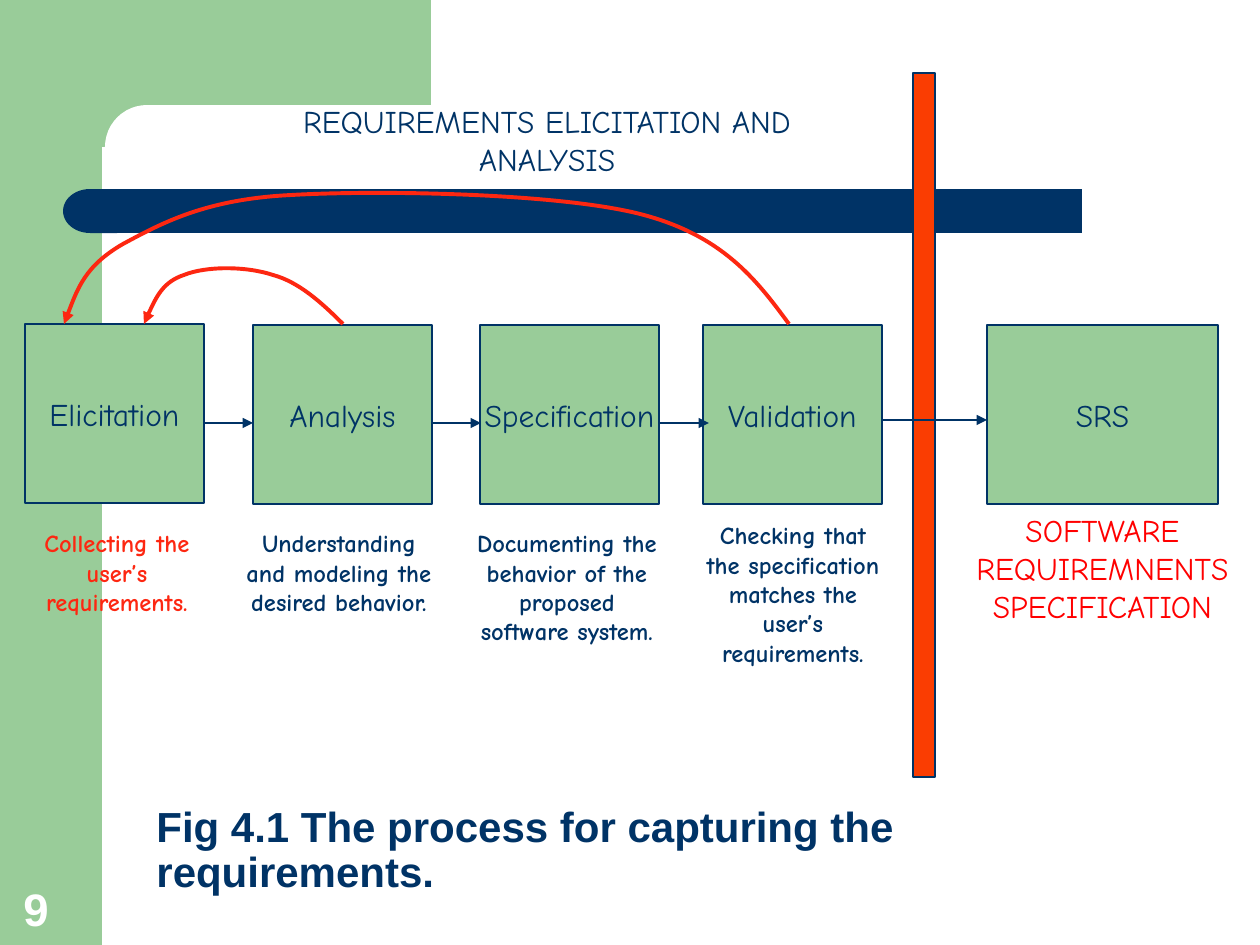
import pptx
import pptx.util
import pptx.dml.color
import pptx.enum.shapes
import pptx.enum.text
import pptx.oxml.ns
from lxml import etree

PX = 914400 / 126
COLORS = {
    "green": "99CC99",
    "navy": "003366",
    "white": "FFFFFF",
    "orange": "FA3D02",
    "scarlet": "FD2711",
    "red": "FF0000",
}
SHAPE = pptx.enum.shapes.MSO_SHAPE
ALIGN = pptx.enum.text.PP_ALIGN
ANCHOR = pptx.enum.text.MSO_ANCHOR
qn = pptx.oxml.ns.qn


def px(n):
    return pptx.util.Emu(round(n * PX))


def rgb(name):
    return pptx.dml.color.RGBColor.from_string(COLORS[name])


def add_text(tf, text, size=18, font="Comic Neue", color="navy", bold=False,
             align=ALIGN.CENTER, anchor=ANCHOR.TOP, wrap=True, spacing=None):
    tf.word_wrap = wrap
    tf.vertical_anchor = anchor
    p = tf.paragraphs[0]
    p.alignment = align
    if spacing:
        p.line_spacing = spacing
    r = p.add_run()
    r.text = text
    r.font.size = pptx.util.Pt(size)
    r.font.name = font
    r.font.bold = bold
    r.font.color.rgb = rgb(color)


def add_label(s, box, text, **fmt):
    sp = s.shapes.add_textbox(*map(px, box))
    add_text(sp.text_frame, text, **fmt)


def add_block(s, kind, box, fill, line=None):
    sp = s.shapes.add_shape(kind, *map(px, box))
    sp.shadow.inherit = False
    sp.fill.solid()
    sp.fill.fore_color.rgb = rgb(fill)
    if line:
        sp.line.color.rgb = rgb(line)
        sp.line.width = pptx.util.Pt(1)
    else:
        sp.line.fill.background()
    return sp


def style_arrow(sp, color, width):
    sp.line.color.rgb = rgb(color)
    sp.line.width = pptx.util.Pt(width)
    etree.SubElement(sp.line._get_or_add_ln(), qn("a:tailEnd"), type="triangle")


def add_arrow(s, x1, x2, y):
    kind = pptx.enum.shapes.MSO_CONNECTOR.STRAIGHT
    sp = s.shapes.add_connector(kind, px(x1), px(y), px(x2), px(y))
    style_arrow(sp, "navy", 1)
    etree.SubElement(sp._element.spPr, qn("a:effectLst"))


def add_feedback(s, x, y, points):
    pts = [(px(x + dx), px(y + dy)) for dx, dy in points]
    fb = s.shapes.build_freeform(*pts[0], scale=1.0)
    fb.add_line_segments(pts[1:], close=False)
    sp = fb.convert_to_shape()
    sp.shadow.inherit = False
    sp.fill.background()
    style_arrow(sp, "scarlet", 2.25)
    outline = sp._element.xpath(".//a:path")[0]
    outline.set("fill", "none")
    segments = outline.findall(qn("a:lnTo"))
    for i in range(0, len(segments), 3):
        curve = etree.SubElement(outline, qn("a:cubicBezTo"))
        for seg in segments[i:i + 3]:
            curve.append(seg[0])
            outline.remove(seg)


def add_frame(s, w, h):
    add_block(s, SHAPE.RECTANGLE, (0, 0, 102, h), "green")
    add_block(s, SHAPE.RECTANGLE, (92, 0, 339, 147), "green")
    panel = add_block(s, SHAPE.ROUNDED_RECTANGLE, (105, 105, 703, 84), "white")
    panel.adjustments[0] = 0.5
    add_block(s, SHAPE.RECTANGLE, (116, 189, 966, 44), "navy")
    cap = add_block(s, SHAPE.FLOWCHART_DELAY, (63, 189, 54, 44), "navy")
    cap.rotation = 180
    add_label(s, (11, h - 71, 81, 68), "9", size=26, font="Arial", color="white",
              bold=True, align=ALIGN.LEFT, anchor=ANCHOR.BOTTOM)
    add_label(s, (144, h - 126, w - 210, 84),
              "Fig 4.1 The process for capturing the requirements.",
              size=24, font="Arial", bold=True, align=ALIGN.LEFT,
              anchor=ANCHOR.BOTTOM, spacing=0.9)


def add_stage(s, x, y, w, h, name, note, dx, dy, note_w, note_h, **fmt):
    sp = add_block(s, SHAPE.RECTANGLE, (x, y, w, h), "green", "navy")
    add_text(sp.text_frame, name, anchor=ANCHOR.MIDDLE, wrap=False)
    add_label(s, (x + dx, y + h + dy, note_w, note_h), note, **fmt)


def add_process(s, y):
    side = 179
    small = {"size": 14, "bold": True}
    add_block(s, SHAPE.RECTANGLE, (913, y - 252, 22, 704), "orange", "navy")
    add_label(s, (253, y - 229, 588, 88), "REQUIREMENTS ELICITATION AND ANALYSIS")
    add_stage(s, 25, y - 1, side, side, "Elicitation",
              "Collecting the user’s requirements.", 0, 19, 184, 101,
              color="scarlet", **small)
    add_stage(s, 253, y, side, side, "Analysis",
              "Understanding and modeling the desired behavior.",
              -20, 18, 212, 101, **small)
    add_stage(s, 480, y, side, side, "Specification",
              "Documenting the behavior of the proposed software system.",
              -19, 18, 212, 131, **small)
    add_stage(s, 703, y, side, side, "Validation",
              "Checking that the specification matches the user’s requirements.",
              -14, 10, 208, 160, **small)
    add_stage(s, 987, y, 231, side, "SRS",
              "SOFTWARE REQUIREMNENTS SPECIFICATION",
              -42, 1, 315, 126, color="red")
    for x1, x2 in [(203, 253), (432, 481), (660, 709)]:
        add_arrow(s, x1, x2, y + 98)
    add_arrow(s, 882, 987, y + 95)
    add_feedback(s, 144, y - 59, [
        (199, 58), (178, 37), (155, 16), (129, 9), (102, 0), (62, 0),
        (40, 9), (19, 16), (9, 37), (0, 58)])
    add_feedback(s, 64, y - 135, [
        (725, 134), (692, 89), (658, 45), (576, 24), (493, 3), (315, 0),
        (228, 5), (142, 9), (98, 33), (59, 54), (21, 76), (11, 105), (0, 134)])


def main():
    w, h = 1260, 945
    prs = pptx.Presentation()
    prs.slide_width, prs.slide_height = px(w), px(h)
    s = prs.slides.add_slide(prs.slide_layouts[6])
    add_frame(s, w, h)
    add_process(s, 325)
    prs.save("out.pptx")


if __name__ == "__main__":
    main()
